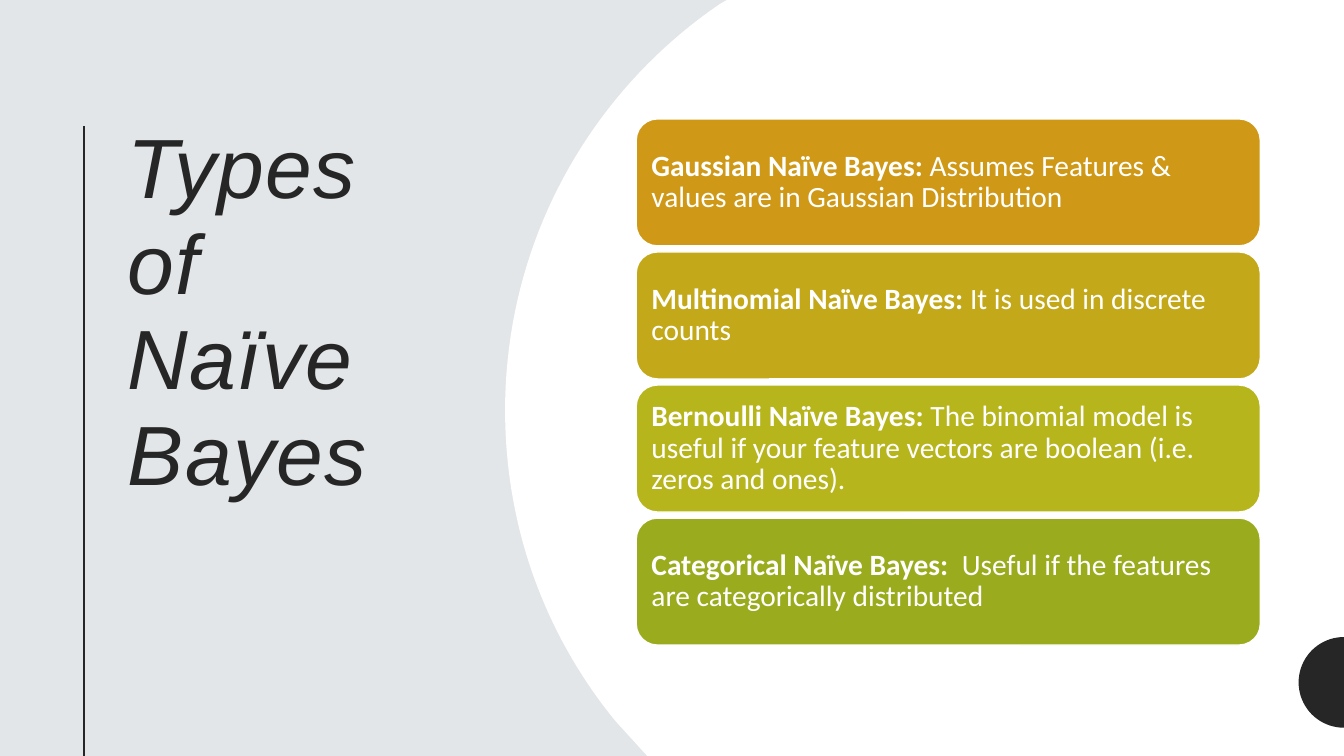
import math

from pptx import Presentation, util as u
from pptx.dml.color import RGBColor
from pptx.enum import shapes, text
from pptx.oxml.ns import qn
from lxml import etree

WIDTH, HEIGHT = 13.33, 7.5
PALE, DARK, WHITE = "E2E6E8", "262626", "FFFFFF"

TYPES = [
    ("Gaussian Naïve Bayes: ", "Assumes Features & values are in Gaussian Distribution", "CF9917"),
    ("Multinomial Naïve Bayes: ", "It is used in discrete counts", "C3A91A"),
    ("Bernoulli Naïve Bayes: ",
     "The binomial model is useful if your feature vectors are boolean (i.e. zeros and ones).", "B7B51C"),
    ("Categorical Naïve Bayes:  ", "Useful if the features are categorically distributed", "9AAC1E"),
]


def colour(hex_code):
    return RGBColor.from_string(hex_code)


def paint(shape, fill, line=None):
    """Give a shape a flat fill and an optional thin outline."""
    shape.shadow.inherit = False
    shape.fill.solid()
    shape.fill.fore_color.rgb = colour(fill)
    if line:
        shape.line.color.rgb = colour(line)
        shape.line.width = u.Pt(1)
    else:
        shape.line.fill.background()


def add_run(paragraph, words, *, font, size, ink, bold=False, italic=False, tracking=0):
    run = paragraph.add_run()
    run.text = words
    run.font.name, run.font.size = font, u.Pt(size)
    run.font.bold, run.font.italic = bold, italic
    run.font.color.rgb = colour(ink)
    if tracking:
        run.font._element.set("spc", str(tracking * 100))


def set_frame(shape, anchor, side, top, spacing):
    """Prepare a wrapping, left-aligned text frame and return its paragraph."""
    frame = shape.text_frame
    frame.word_wrap = True
    frame.vertical_anchor = anchor
    frame.margin_left = frame.margin_right = u.Inches(side)
    frame.margin_top = frame.margin_bottom = u.Inches(top)
    paragraph = frame.paragraphs[0]
    paragraph.alignment = text.PP_ALIGN.LEFT
    paragraph.line_spacing = spacing
    return paragraph


def add_outline(slide, points, fill):
    corners = [(u.Inches(x), u.Inches(y)) for x, y in points]
    builder = slide.shapes.build_freeform(*corners[0])
    builder.add_line_segments(corners[1:], close=True)
    paint(builder.convert_to_shape(), fill)


def bezier(start, control_1, control_2, end, steps=40):
    """Points along a cubic curve."""
    return [
        tuple((1 - t) ** 3 * a + 3 * (1 - t) ** 2 * t * b + 3 * (1 - t) * t ** 2 * c + t ** 3 * d
              for a, b, c, d in zip(start, control_1, control_2, end))
        for t in (step / steps for step in range(steps + 1))
    ]


def add_backdrop(slide, width, height):
    slide.background.fill.solid()
    slide.background.fill.fore_color.rgb = colour(PALE)
    panel = slide.shapes.add_shape(
        shapes.MSO_SHAPE.RECTANGLE, 0, 0, u.Inches(width), u.Inches(height))
    paint(panel, PALE)

    leftmost = (5.01, 4.07)
    lower = bezier((6.11, 7.16), (5.42, 6.32), (5.01, 5.25), leftmost)
    upper = bezier(leftmost, (5.01, 2.4), (5.85, 0.92), (7.14, 0.04))
    edge = [(7.21, 0), (width, 0), (width, height), (6.42, height)]
    add_outline(slide, edge + lower + upper[1:], WHITE)

    radius, middle, steps = 0.45, 6.77, 40
    angles = [math.pi * step / steps for step in range(steps + 1)]
    half_disc = [(width - radius * math.sin(a), middle - radius * math.cos(a)) for a in angles]
    add_outline(slide, half_disc, DARK)


def add_title(slide, left, top, width, height):
    """Place the heading with a rule that runs off the foot of the slide."""
    box = slide.shapes.add_textbox(*map(u.Inches, (left, top, width, height)))
    paragraph = set_frame(box, text.MSO_ANCHOR.TOP, 0.1, 0.05, 0.95)
    add_run(paragraph, "Types of Naïve Bayes", font="Arial", size=60, ink=DARK,
            italic=True, tracking=1)

    rule_x = u.Inches(left - 0.34)
    rule = slide.shapes.add_connector(
        shapes.MSO_CONNECTOR.STRAIGHT, rule_x, u.Inches(top + 0.09), rule_x, u.Inches(HEIGHT))
    rule.line.color.rgb = colour(DARK)
    rule.line.width = u.Pt(1.5)
    etree.SubElement(rule._element.spPr, qn("a:effectLst"))


def add_cards(slide, left, top, width, height, gap=0.06):
    """Stack one card per type, sharing the height equally."""
    card_height = (height - gap * (len(TYPES) - 1)) / len(TYPES)
    for row, (name, meaning, fill) in enumerate(TYPES):
        card_top = top + row * (card_height + gap)
        card = slide.shapes.add_shape(
            shapes.MSO_SHAPE.ROUNDED_RECTANGLE,
            *map(u.Inches, (left, card_top, width, card_height)))
        paint(card, fill, WHITE)
        paragraph = set_frame(card, text.MSO_ANCHOR.MIDDLE, 0.09, 0.09, 0.9)
        add_run(paragraph, name, font="Calibri", size=21, ink=WHITE, bold=True)
        add_run(paragraph, meaning, font="Calibri", size=21, ink=WHITE)


def main():
    presentation = Presentation()
    presentation.slide_width = u.Inches(WIDTH)
    presentation.slide_height = u.Inches(HEIGHT)
    slide = presentation.slides.add_slide(presentation.slide_layouts[6])
    add_backdrop(slide, WIDTH, HEIGHT)
    add_title(slide, 1.17, 1.16, 3.41, 5.26)
    add_cards(slide, 6.31, 1.18, 6.19, 5.22)
    presentation.save("out.pptx")


if __name__ == "__main__":
    main()
